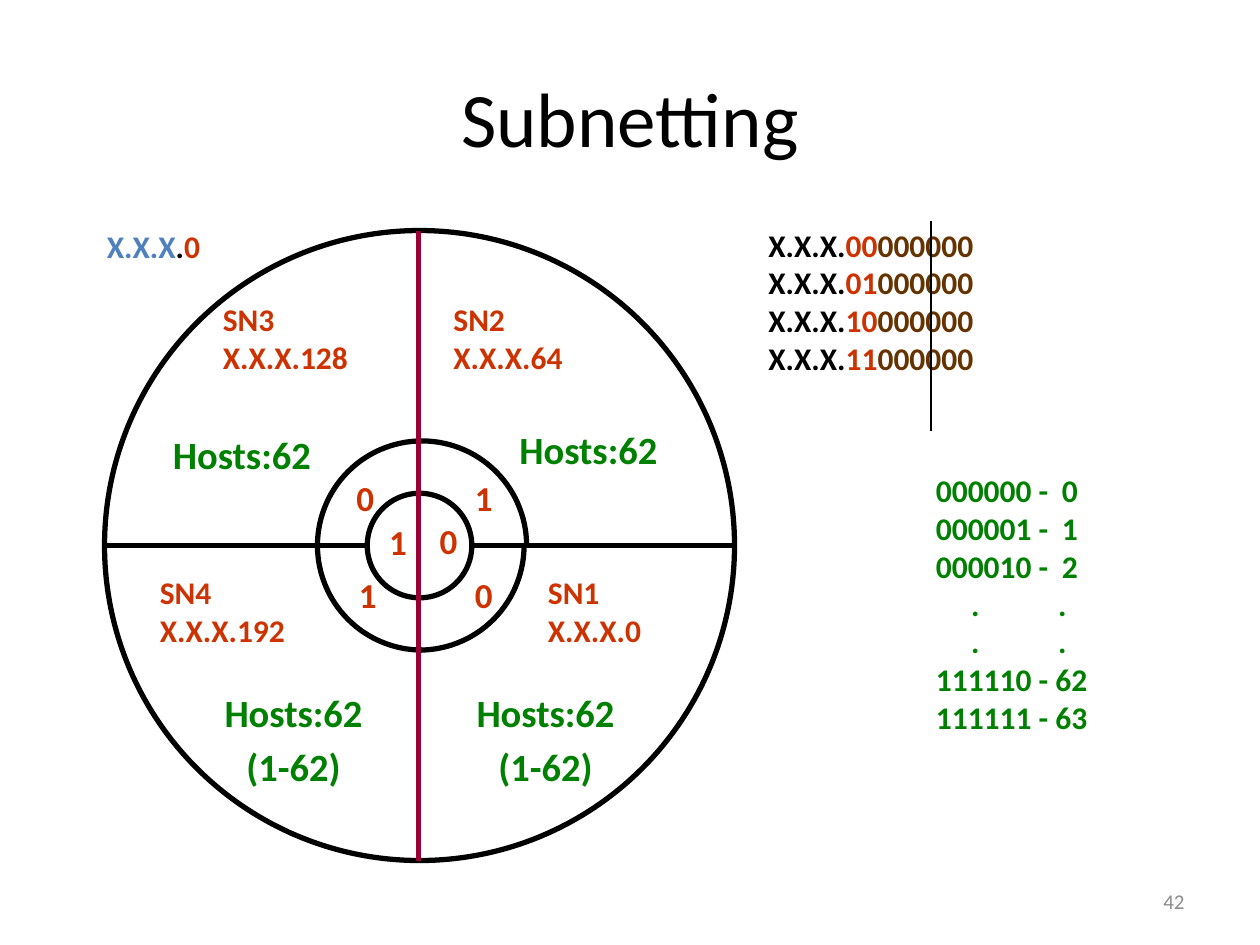
from dataclasses import dataclass
from math import cos, radians, sin

from lxml.etree import SubElement
from pptx import Presentation
from pptx.dml.color import RGBColor
from pptx.enum.shapes import MSO_CONNECTOR, MSO_SHAPE
from pptx.enum.text import MSO_ANCHOR, PP_ALIGN
from pptx.oxml.ns import qn
from pptx.util import Inches, Pt


@dataclass(frozen=True)
class Theme:
    font: str = "Calibri"
    black: str = "000000"
    gray: str = "8C8C8C"
    blue: str = "4F81BD"
    subnet: str = "CC3300"
    host: str = "008000"
    host_bits: str = "663300"
    divider: str = "990033"
    title_size: int = 44
    hosts_size: int = 22
    bit_size: int = 20
    label_size: int = 18
    page_size: int = 12
    thick: float = 3
    thin: float = 0.75


THEME = Theme()
CENTER_X = 3.33
CENTER_Y = 4.33
OUTER_RADIUS = 2.5
RING_RADIUS = 0.83


def add_tab_stops(paragraph, positions):
    stops = SubElement(paragraph._p.get_or_add_pPr(), qn("a:tabLst"))
    for position in positions:
        SubElement(stops, qn("a:tab"), pos=str(Inches(position)), algn="l")


def add_text(slide, box, lines, size, bold=True, align=PP_ALIGN.LEFT,
             anchor=MSO_ANCHOR.TOP, gap=0, tabs=None):
    """Add one paragraph per line; a line is a list of (text, colour) runs."""
    frame = slide.shapes.add_textbox(*map(Inches, box)).text_frame
    frame.word_wrap = True
    frame.vertical_anchor = anchor
    for index, line in enumerate(lines):
        paragraph = frame.add_paragraph() if index else frame.paragraphs[0]
        paragraph.alignment = align
        if index and gap:
            paragraph.space_before = Pt(gap)
        if tabs and tabs[index]:
            add_tab_stops(paragraph, tabs[index])
        for text, color in line:
            run = paragraph.add_run()
            run.text = text
            run.font.name = THEME.font
            run.font.size = Pt(size)
            run.font.bold = bold
            run.font.color.rgb = RGBColor.from_string(color)
    return frame


def style_outline(shape):
    shape.shadow.inherit = False
    shape.fill.background()
    shape.line.color.rgb = RGBColor.from_string(THEME.black)
    shape.line.width = Pt(THEME.thick)


def add_circle(slide, center_x, center_y, radius):
    box = (center_x - radius, center_y - radius, 2 * radius, 2 * radius)
    style_outline(slide.shapes.add_shape(MSO_SHAPE.OVAL, *map(Inches, box)))


def add_quarter_arc(slide, center_x, center_y, radius, start):
    points = [(Inches(center_x + radius * cos(radians(angle))),
               Inches(center_y + radius * sin(radians(angle))))
              for angle in range(start, start + 91, 3)]
    builder = slide.shapes.build_freeform(*points[0])
    builder.add_line_segments(points[1:], close=False)
    style_outline(builder.convert_to_shape())


def add_line(slide, start, end, color, width):
    line = slide.shapes.add_connector(
        MSO_CONNECTOR.STRAIGHT, *map(Inches, (*start, *end)))
    line.line.color.rgb = RGBColor.from_string(color)
    line.line.width = Pt(width)
    SubElement(line._element.spPr, qn("a:effectLst"))


def add_subnet_circle(slide):
    add_circle(slide, CENTER_X, CENTER_Y, OUTER_RADIUS)
    for left, right in ((0.83, 2.92), (3.75, 5.83)):
        add_line(slide, (left, CENTER_Y), (right, CENTER_Y), THEME.black, THEME.thick)
    for start, center_x in ((0, CENTER_X), (90, 3.35), (180, 3.35), (270, 3.35)):
        add_quarter_arc(slide, center_x, CENTER_Y, RING_RADIUS, start)
    add_circle(slide, CENTER_X, CENTER_Y, RING_RADIUS / 2)
    add_line(slide, (3.32, 1.83), (3.32, 6.83), THEME.divider, THEME.thick)


def add_circle_labels(slide):
    subnets = (("SN3", "X.X.X.128", 1.67, 2.33, 1.75),
               ("SN1", "X.X.X.0", 4.25, 4.5, 1.42),
               ("SN2", "X.X.X.64", 3.5, 2.33, 1.75),
               ("SN4", "X.X.X.192", 1.17, 4.5, 1.75))
    for name, address, left, top, width in subnets:
        add_text(slide, (left, top, width, 0.9),
                 [[(name, THEME.subnet)], [(address, THEME.subnet)]], THEME.label_size)

    bits = (("0", 3.67, 4.5), ("1", 3.67, 3.73), ("1", 2.75, 4.5),
            ("0", 2.73, 3.73), ("0", 3.39, 4.07), ("1", 2.99, 4.08))
    bit_widths = {"0": 0.27, "1": 0.42}
    for bit, left, top in bits:
        add_text(slide, (left, top, bit_widths[bit], 0.43),
                 [[(bit, THEME.subnet)]], THEME.bit_size)

    host_counts = ((3.92, 3.33, False), (1.17, 3.37, False),
                   (1.58, 5.42, True), (3.58, 5.42, True))
    for left, top, has_range in host_counts:
        lines = ["Hosts:62", "(1-62)"] if has_range else ["Hosts:62"]
        add_text(slide, (left, top, 1.5, 0.91 if has_range else 0.47),
                 [[(line, THEME.host)] for line in lines],
                 THEME.hosts_size, align=PP_ALIGN.CENTER, gap=4.4)


def add_address_lists(slide):
    add_text(slide, (0.75, 1.75, 1.33, 0.5),
             [[("X.X.X", THEME.blue), (".", THEME.black), ("0", THEME.subnet)]],
             THEME.label_size)
    addresses = [[("X.X.X.", THEME.black), (f"{subnet:02b}", THEME.subnet),
                  ("000000", THEME.host_bits)] for subnet in range(4)]
    frame = add_text(slide, (6, 1.83, 2.83, 1.58), addresses, THEME.label_size)
    frame.paragraphs[0].line_spacing = 0.7
    add_line(slide, (7.39, 1.75), (7.39, 3.42), THEME.black, THEME.thin)

    single_digit, dots = (1.0,), (0.28, 0.97)
    hosts = [(f"{number:06b} -\t{number}", single_digit) for number in range(3)]
    hosts += [("\t.\t.", dots)] * 2
    hosts += [(f"{number:06b} - {number}", None) for number in (62, 63)]
    add_text(slide, (7.33, 3.69, 2.17, 2.9),
             [[(text, THEME.host)] for text, _ in hosts],
             THEME.label_size, tabs=[stops for _, stops in hosts])


def main():
    deck = Presentation()
    deck.slide_width, deck.slide_height = Inches(10), Inches(7.5)
    slide = deck.slides.add_slide(deck.slide_layouts[6])
    add_text(slide, (7.17, 6.95, 2.33, 0.4), [[("42", THEME.gray)]], THEME.page_size,
             bold=False, align=PP_ALIGN.RIGHT, anchor=MSO_ANCHOR.MIDDLE)
    add_text(slide, (0.5, 0.3, 9, 1.25), [[("Subnetting", THEME.black)]],
             THEME.title_size, bold=False, align=PP_ALIGN.CENTER,
             anchor=MSO_ANCHOR.MIDDLE)
    add_subnet_circle(slide)
    add_circle_labels(slide)
    add_address_lists(slide)
    deck.save("out.pptx")


if __name__ == "__main__":
    main()
